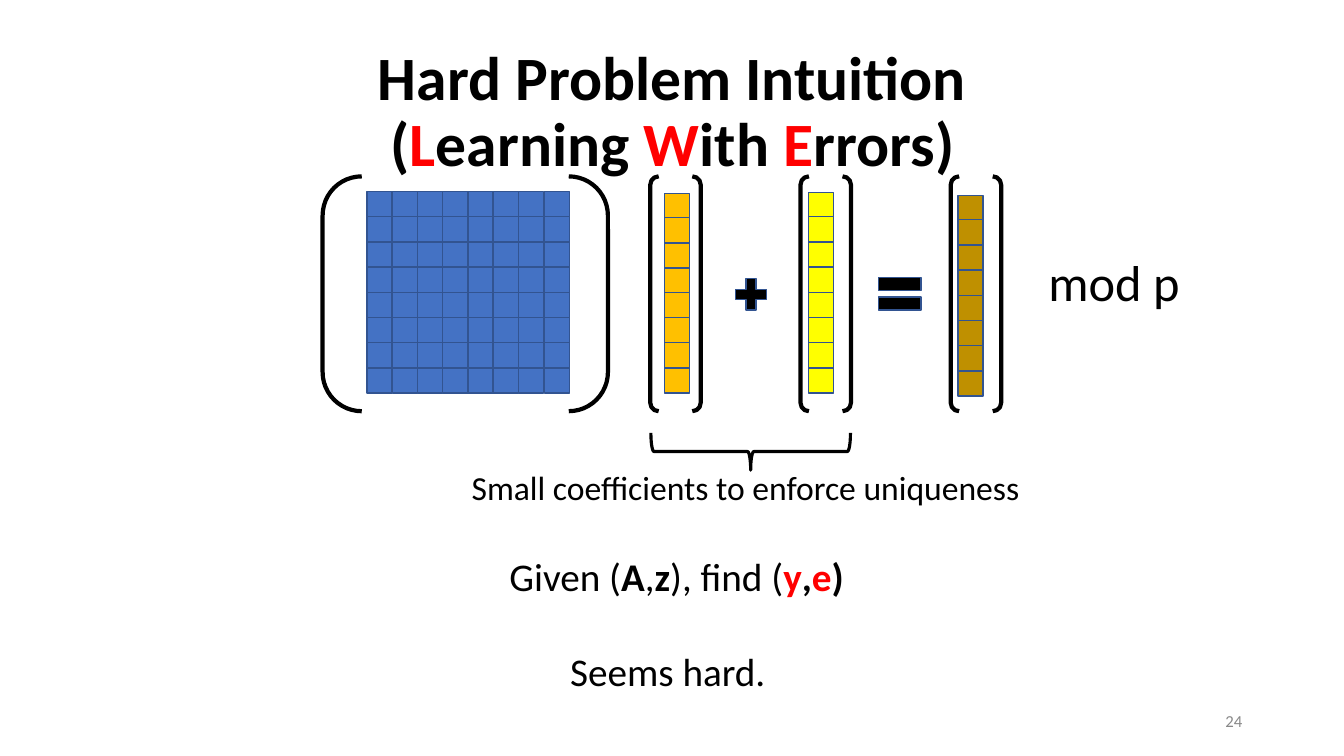
from dataclasses import dataclass
from typing import Any

from pptx import Presentation
from pptx.dml.color import RGBColor
from pptx.enum.shapes import MSO_SHAPE
from pptx.enum.text import MSO_ANCHOR, MSO_AUTO_SIZE, PP_ALIGN
from pptx.util import Pt

RECTANGLE, BRACKETS, BRACE = MSO_SHAPE.RECTANGLE, MSO_SHAPE.DOUBLE_BRACKET, MSO_SHAPE.RIGHT_BRACE
PLUS, EQUAL = MSO_SHAPE.MATH_PLUS, MSO_SHAPE.MATH_EQUAL
LEFT, CENTER, RIGHT = PP_ALIGN.LEFT, PP_ALIGN.CENTER, PP_ALIGN.RIGHT
TOP, MIDDLE = MSO_ANCHOR.TOP, MSO_ANCHOR.MIDDLE
NO_AUTOFIT = MSO_AUTO_SIZE.NONE

PX = 9144  # EMU per px, 100 px to the inch
CELL = 25
STEPS = 7  # gaps between the eight cells of a row or column


@dataclass(frozen=True)
class Theme:
    font: str = "Calibri"
    ink: str = "000000"
    accent: str = "FF0000"
    muted: str = "898989"
    outline: str = "325491"
    matrix: str = "4472C4"
    secret: str = "FFC000"
    error: str = "FFFF00"
    result: str = "BF9000"
    title_size: int = 44
    modulus_size: int = 36
    body_size: int = 28
    note_size: int = 24
    number_size: int = 12
    bracket_width: float = 3
    brace_width: float = 2.25
    cell_width: float = 1


THEME = Theme()


@dataclass(frozen=True)
class Box:
    left: int
    top: int
    width: int
    height: int

    def emu(self) -> tuple[int, ...]:
        return tuple(value * PX for value in (self.left, self.top, self.width, self.height))


@dataclass(frozen=True)
class Piece:
    text: str
    bold: bool = False
    color: str = THEME.ink


@dataclass(frozen=True)
class Label:
    box: Box
    lines: tuple[tuple[Piece, ...], ...]
    size: int
    align: Any = LEFT
    anchor: Any = TOP
    gap: int = 0


@dataclass(frozen=True)
class Symbol:
    kind: Any
    box: Box
    line_color: str
    line_width: float
    fill: str | None = None
    rotation: int = 0


@dataclass(frozen=True)
class CellGrid:
    left: int
    top: int
    height: int  # from the first row's top to the last row's top
    fill: str
    columns: int = 1


def apply(target: Any, values: dict[str, Any]) -> None:
    for name, value in values.items():
        setattr(target, name, value)


def write_pieces(paragraph: Any, pieces: tuple[Piece, ...], size: int) -> None:
    for piece in pieces:
        run = paragraph.add_run()
        run.text = piece.text
        apply(run.font, {"name": THEME.font, "size": Pt(size), "bold": piece.bold})
        run.font.color.rgb = RGBColor.from_string(piece.color)


def draw_label(slide: Any, label: Label) -> None:
    frame = slide.shapes.add_textbox(*label.box.emu()).text_frame
    apply(frame, {"word_wrap": True, "vertical_anchor": label.anchor})
    for index, pieces in enumerate(label.lines):
        paragraph = frame.add_paragraph() if index else frame.paragraphs[0]
        apply(paragraph, {"alignment": label.align, "space_before": Pt(label.gap if index else 0)})
        write_pieces(paragraph, pieces, label.size)


def draw_symbol(slide: Any, symbol: Symbol) -> None:
    shape = slide.shapes.add_shape(symbol.kind, *symbol.box.emu())
    shape.shadow.inherit = False
    shape.rotation = symbol.rotation
    if symbol.fill:
        shape.fill.solid()
        shape.fill.fore_color.rgb = RGBColor.from_string(symbol.fill)
    else:
        shape.fill.background()
    shape.line.color.rgb = RGBColor.from_string(symbol.line_color)
    shape.line.width = Pt(symbol.line_width)


def draw_grid(slide: Any, grid: CellGrid) -> None:
    for column in range(grid.columns):
        for row in range(STEPS + 1):
            left = grid.left + column * 176 // STEPS
            top = grid.top + row * grid.height // STEPS
            draw_symbol(slide, Symbol(RECTANGLE, Box(left, top, CELL, CELL),
                                      THEME.outline, THEME.cell_width, grid.fill))


def draw_title(slide: Any, box: Box, lines: tuple[tuple[Piece, ...], ...]) -> None:
    title = slide.shapes.title
    apply(title, dict(zip(("left", "top", "width", "height"), box.emu())))
    frame = title.text_frame
    apply(frame, {"word_wrap": True, "auto_size": NO_AUTOFIT, "vertical_anchor": MIDDLE})
    paragraph = frame.paragraphs[0]
    apply(paragraph, {"alignment": CENTER, "line_spacing": 0.9})
    for index, pieces in enumerate(lines):
        if index:
            paragraph.add_line_break()
        write_pieces(paragraph, pieces, THEME.title_size)


# Slide content
TITLE_LINES = (
    (Piece("Hard Problem Intuition", True),),
    (Piece("(", True), Piece("L", True, THEME.accent), Piece("earning ", True),
     Piece("W", True, THEME.accent), Piece("ith ", True),
     Piece("E", True, THEME.accent), Piece("rrors)", True)),
)
BRACKET_SPANS = ((320, 283), (645, 50), (943, 50), (794, 50))
SYMBOLS = (
    *(Symbol(BRACKETS, Box(left, 175, width, 233), THEME.ink, THEME.bracket_width)
      for left, width in BRACKET_SPANS),
    Symbol(PLUS, Box(724, 271, 42, 42), THEME.outline, THEME.cell_width, THEME.ink),
    Symbol(EQUAL, Box(864, 264, 57, 55), THEME.outline, THEME.cell_width, THEME.ink),
    Symbol(BRACE, Box(726, 349, 37, 198), THEME.ink, THEME.brace_width, rotation=90),
)
GRIDS = (
    CellGrid(364, 190, 175, THEME.matrix, columns=8),
    CellGrid(659, 192, 173, THEME.secret),
    CellGrid(802, 191, 174, THEME.error),
    CellGrid(950, 194, 174, THEME.result),
)
LABELS = (
    Label(Box(458, 458, 583, 51), ((Piece("Small coefficients to enforce uniqueness"),),),
          THEME.note_size),
    Label(Box(242, 543, 858, 152),
          ((Piece("Given ("), Piece("A", True), Piece(","), Piece("z", True),
            Piece("), find ("), Piece("y", True, THEME.accent), Piece(",", True),
            Piece("e", True, THEME.accent), Piece(")", True)),
           (Piece("Seems hard.  "),)),
          THEME.body_size, CENTER, gap=34),
    Label(Box(1030, 244, 250, 71), ((Piece("mod p"),),), THEME.modulus_size),
    Label(Box(942, 695, 300, 40), ((Piece("24", color=THEME.muted),),),
          THEME.number_size, RIGHT, MIDDLE),
)


def main() -> None:
    presentation = Presentation()
    apply(presentation, {"slide_width": 1333 * PX, "slide_height": 750 * PX})
    slide = presentation.slides.add_slide(presentation.slide_layouts[5])
    draw_title(slide, Box(92, 40, 1150, 145), TITLE_LINES)
    # Brackets, operators and brace
    for symbol in SYMBOLS:
        draw_symbol(slide, symbol)
    # Matrix and vectors
    for grid in GRIDS:
        draw_grid(slide, grid)
    # Captions and slide number
    for label in LABELS:
        draw_label(slide, label)
    presentation.save("out.pptx")


if __name__ == "__main__":
    main()
